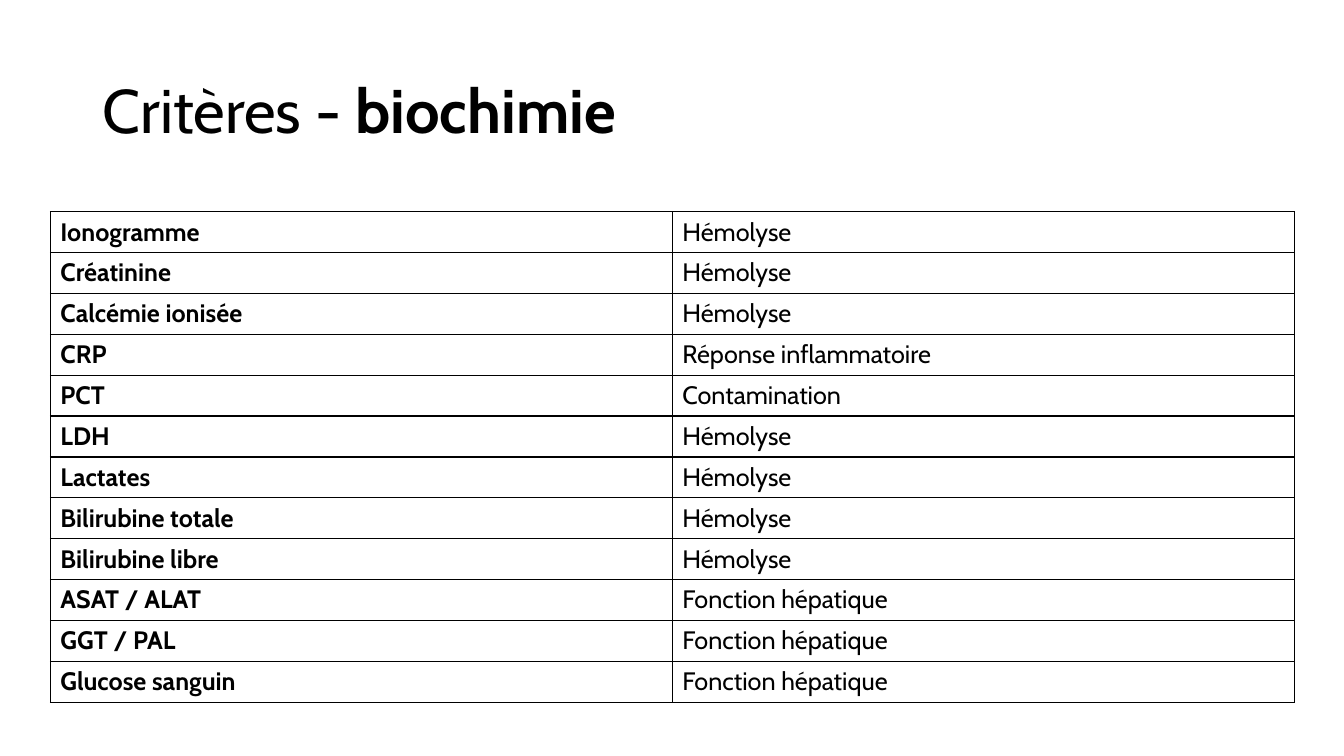
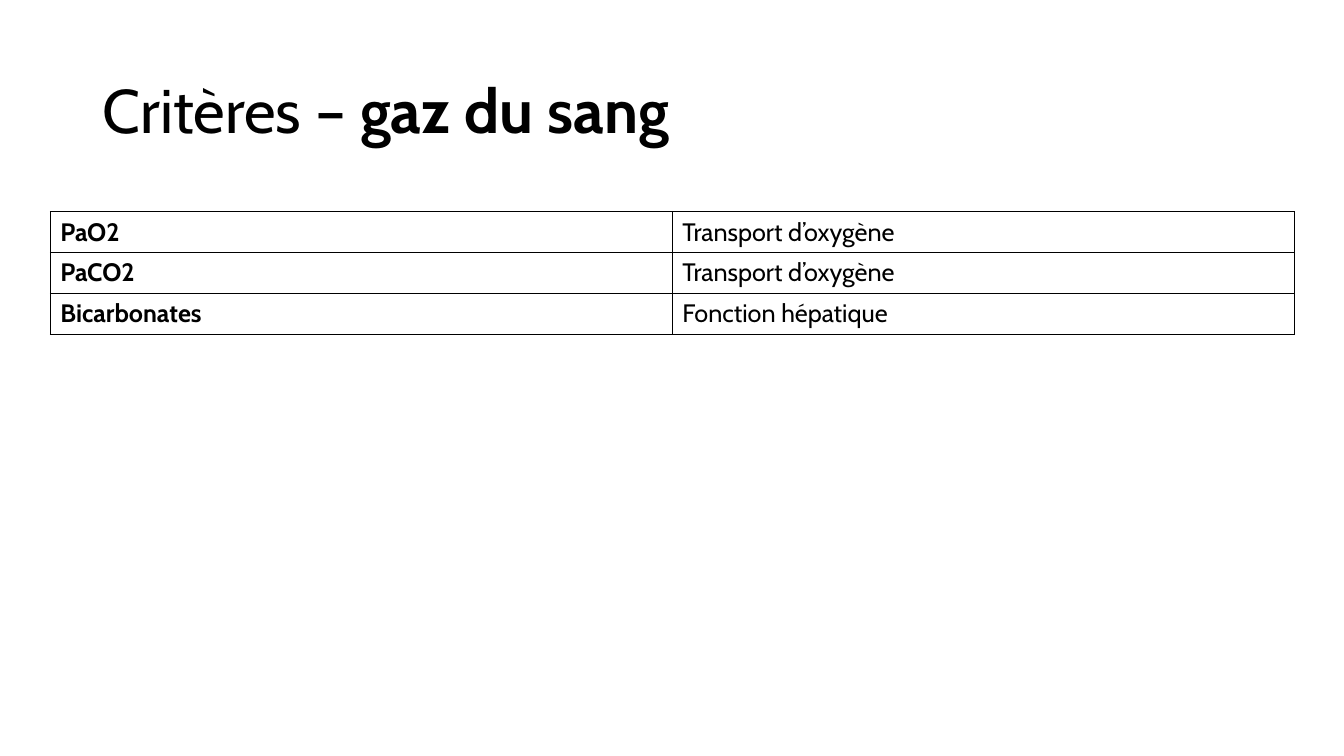
import dataclasses

import lxml.etree
import pptx
import pptx.dml.color
import pptx.enum.text
import pptx.oxml.ns
import pptx.slide
import pptx.table
import pptx.text.text
import pptx.util

Pt = pptx.util.Pt

COLORS = {"text": "000000", "border": "000000", "background": "FFFFFF"}
FONT = "Cabin"
TITLE_BOX = (Pt(66.24), Pt(28.8), Pt(828), Pt(104.4))
TABLE_LEFT, TABLE_TOP = 36, 151.2
COLUMN_WIDTH, ROW_HEIGHT = 444.24, 29.2
BORDER_WIDTH = 1


@dataclasses.dataclass(frozen=True)
class Criterion:
    measure: str
    reason: str


@dataclasses.dataclass(frozen=True)
class CriteriaSlide:
    lead: str
    topic: str
    criteria: tuple[Criterion, ...]


HEMOLYSIS = "Hémolyse"
LIVER = "Fonction hépatique"
OXYGEN = "Transport d’oxygène"

SLIDES = (
    CriteriaSlide("Critères - ", "biochimie", (
        Criterion("Ionogramme", HEMOLYSIS),
        Criterion("Créatinine", HEMOLYSIS),
        Criterion("Calcémie ionisée", HEMOLYSIS),
        Criterion("CRP", "Réponse inflammatoire"),
        Criterion("PCT", "Contamination"),
        Criterion("LDH", HEMOLYSIS),
        Criterion("Lactates", HEMOLYSIS),
        Criterion("Bilirubine totale", HEMOLYSIS),
        Criterion("Bilirubine libre", HEMOLYSIS),
        Criterion("ASAT / ALAT", LIVER),
        Criterion("GGT / PAL", LIVER),
        Criterion("Glucose sanguin", LIVER),
    )),
    CriteriaSlide("Critères – ", "gaz du sang", (
        Criterion("PaO2", OXYGEN),
        Criterion("PaCO2", OXYGEN),
        Criterion("Bicarbonates", LIVER),
    )),
)


def rgb(name: str) -> pptx.dml.color.RGBColor:
    return pptx.dml.color.RGBColor.from_string(COLORS[name])


def style_paragraph(paragraph: pptx.text.text._Paragraph, size: float, bold: bool) -> None:
    paragraph.alignment = pptx.enum.text.PP_ALIGN.LEFT
    font = paragraph.font
    font.name, font.size, font.bold = FONT, Pt(size), bold
    font.color.rgb = rgb("text")


# Title: plain lead followed by a bold topic
def add_title(slide: pptx.slide.Slide, lead: str, topic: str) -> None:
    title = slide.shapes.title
    title.left, title.top, title.width, title.height = TITLE_BOX
    frame = title.text_frame
    frame.auto_size = pptx.enum.text.MSO_AUTO_SIZE.NONE
    frame.vertical_anchor = pptx.enum.text.MSO_ANCHOR.MIDDLE
    heading = frame.paragraphs[0]
    style_paragraph(heading, 44, False)
    heading.line_spacing = 0.9
    heading.add_run().text = lead
    emphasis = heading.add_run()
    emphasis.text = topic
    emphasis.font.bold = True


# Table cells: thin border on every side, no fill
def add_borders(cell: pptx.table._Cell) -> None:
    qn = pptx.oxml.ns.qn
    properties = cell._tc.get_or_add_tcPr()
    for side in ("a:lnL", "a:lnR", "a:lnT", "a:lnB"):
        line = lxml.etree.SubElement(properties, qn(side), w=str(Pt(BORDER_WIDTH)))
        fill = lxml.etree.SubElement(line, qn("a:solidFill"))
        lxml.etree.SubElement(fill, qn("a:srgbClr"), val=COLORS["border"])


def fill_cell(cell: pptx.table._Cell, text: str, bold: bool) -> None:
    cell.text = text
    style_paragraph(cell.text_frame.paragraphs[0], 18, bold)
    add_borders(cell)
    cell.fill.background()


def add_criteria(slide: pptx.slide.Slide, criteria: tuple[Criterion, ...]) -> None:
    table = slide.shapes.add_table(
        len(criteria), 2, Pt(TABLE_LEFT), Pt(TABLE_TOP),
        Pt(2 * COLUMN_WIDTH), Pt(len(criteria) * ROW_HEIGHT),
    ).table
    table.first_row = table.horz_banding = False
    for row, criterion in enumerate(criteria):
        table.rows[row].height = Pt(ROW_HEIGHT)
        fill_cell(table.cell(row, 0), criterion.measure, True)
        fill_cell(table.cell(row, 1), criterion.reason, False)


def main() -> None:
    deck = pptx.Presentation()
    deck.slide_width, deck.slide_height = Pt(960), Pt(540)
    background = deck.slide_master.background.fill
    background.solid()
    background.fore_color.rgb = rgb("background")
    title_only = deck.slide_layouts.get_by_name("Title Only")
    for content in SLIDES:
        slide = deck.slides.add_slide(title_only)
        add_title(slide, content.lead, content.topic)
        add_criteria(slide, content.criteria)
    deck.save("out.pptx")


if __name__ == "__main__":
    main()
